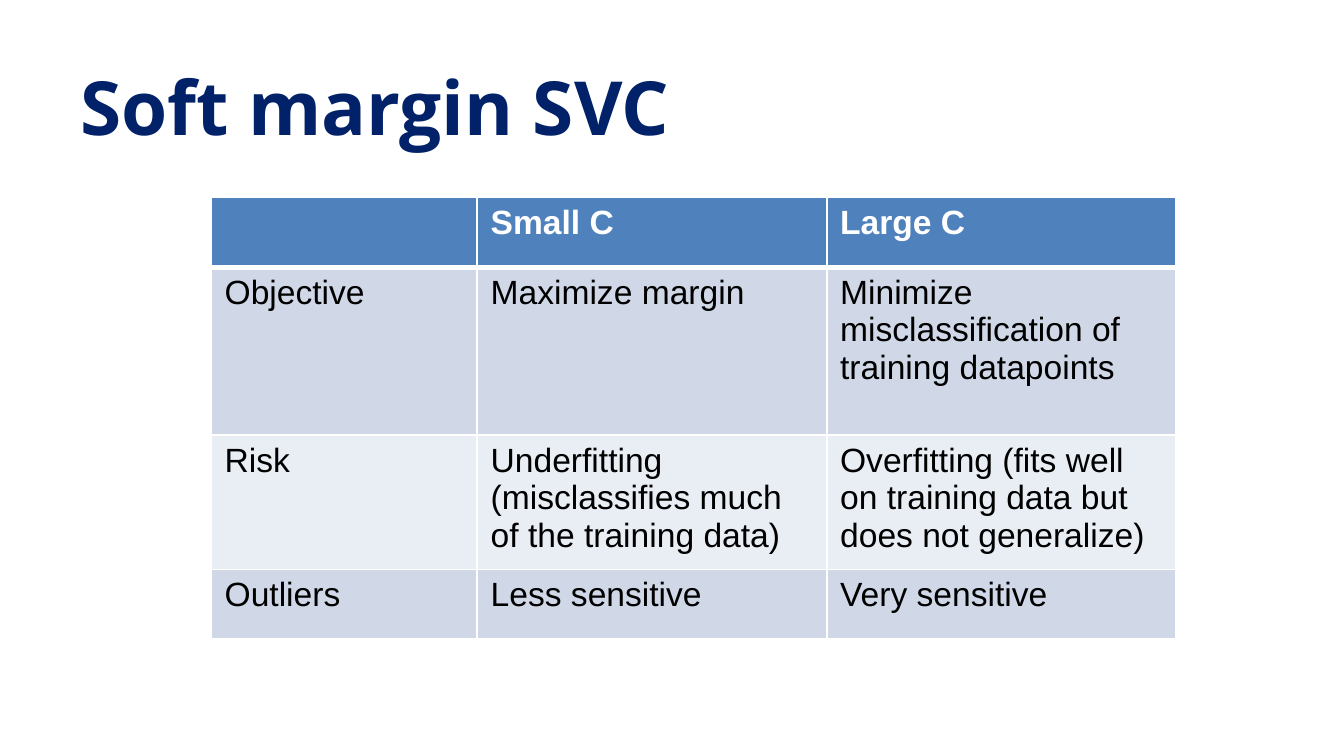
"""Build the slide comparing small and large C in a soft margin SVC."""
from dataclasses import dataclass

from lxml import etree
from pptx import Presentation
from pptx.dml.color import RGBColor
from pptx.enum.text import MSO_ANCHOR
from pptx.oxml.ns import qn
from pptx.util import Pt

MIDDLE = MSO_ANCHOR.MIDDLE


@dataclass(frozen=True)
class Theme:
    title: str = "012169"
    header: str = "4F81BD"
    bands: tuple = ("E9EDF4", "D0D8E8")
    white: str = "FFFFFF"
    black: str = "000000"
    title_font: str = "Open Sans"
    body_font: str = "Arial"
    title_size: int = 40
    body_size: int = 18


theme = Theme()


def style_text(paragraph, name, size, color, bold):
    for span in paragraph.runs:
        span.font.name = name
        span.font.size = Pt(size)
        span.font.bold = bold
        span.font.color.rgb = RGBColor.from_string(color)


def add_border(cell, side, width):
    line = etree.SubElement(cell._tc.get_or_add_tcPr(), qn(f"a:ln{side}"), w=str(Pt(width)))
    fill = etree.SubElement(line, qn("a:solidFill"))
    etree.SubElement(fill, qn("a:srgbClr"), val=theme.white)


deck = Presentation()
deck.slide_width = Pt(720)
deck.slide_height = Pt(405)
page = deck.slides.add_slide(deck.slide_layouts[6])

title_box = page.shapes.add_textbox(Pt(36), Pt(30.2), Pt(648), Pt(53.3))
title_box.text_frame.word_wrap = True
title_box.text_frame.vertical_anchor = MIDDLE
title_box.text_frame.text = "Soft margin SVC"
style_text(title_box.text_frame.paragraphs[0], theme.title_font, theme.title_size, theme.title, True)

comparison = [
    ("", "Small C", "Large C"),
    ("Objective", "Maximize margin", "Minimize misclassification of training datapoints"),
    (
        "Risk",
        "Underfitting (misclassifies much of the training data)",
        "Overfitting (fits well on training data but does not generalize)",
    ),
    ("Outliers", "Less sensitive", "Very sensitive"),
]
column_widths = (142.5, 187.2, 187.2)
row_heights = (37.2, 90, 67.5, 37.2)

table = page.shapes.add_table(
    len(row_heights), len(column_widths),
    Pt(113.2), Pt(105.9), Pt(sum(column_widths)), Pt(sum(row_heights)),
).table
for column, width in zip(table.columns, column_widths):
    column.width = Pt(width)
for row, height in zip(table.rows, row_heights):
    row.height = Pt(height)

for row_index, labels in enumerate(comparison):
    is_header = row_index == 0
    fill_color = theme.header if is_header else theme.bands[row_index % 2]
    text_color = theme.white if is_header else theme.black
    border_widths = {"L": 1, "R": 1, "T": 3 if row_index == 1 else 1, "B": 3 if is_header else 1}
    for column_index, label in enumerate(labels):
        cell = table.cell(row_index, column_index)
        for side, width in border_widths.items():
            add_border(cell, side, width)
        cell.fill.solid()
        cell.fill.fore_color.rgb = RGBColor.from_string(fill_color)
        cell.text_frame.text = label
        style_text(cell.text_frame.paragraphs[0], theme.body_font, theme.body_size, text_color, is_header)

deck.save("out.pptx")
